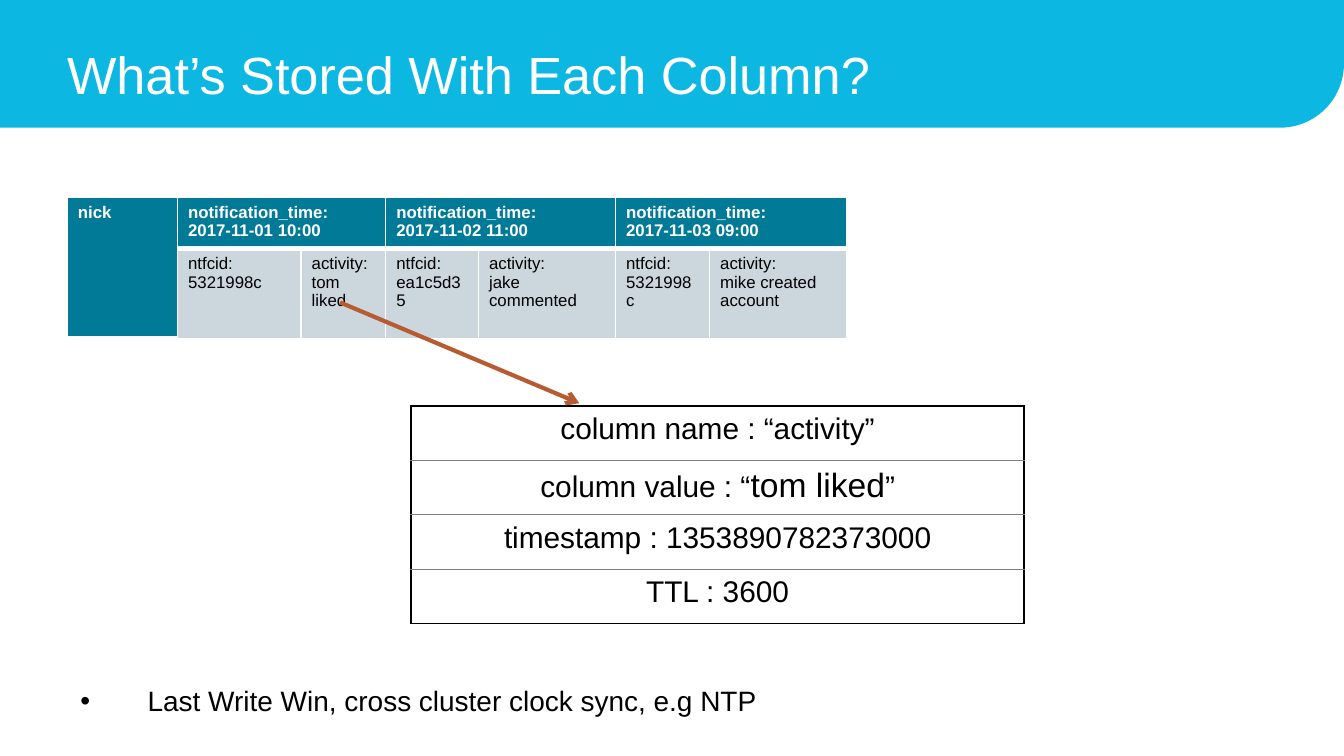
from copy import deepcopy
from dataclasses import dataclass

from lxml import etree
from pptx import Presentation
from pptx.dml.color import RGBColor
from pptx.enum.shapes import MSO_CONNECTOR, MSO_SHAPE
from pptx.enum.text import MSO_ANCHOR, PP_ALIGN
from pptx.oxml.ns import qn
from pptx.util import Inches, Pt

ROUND_CORNER = MSO_SHAPE.ROUND_1_RECTANGLE
STRAIGHT = MSO_CONNECTOR.STRAIGHT
BOTTOM, TOP = MSO_ANCHOR.BOTTOM, MSO_ANCHOR.TOP
LEFT, CENTER = PP_ALIGN.LEFT, PP_ALIGN.CENTER


@dataclass(frozen=True)
class Theme:
    font: str = "Arial"
    banner: str = "0CB7E1"
    header: str = "007A97"
    body: str = "CCD7DD"
    arrow: str = "B65B32"
    white: str = "FFFFFF"
    black: str = "000000"
    grey: str = "808080"
    title_size: float = 28
    row_size: float = 9
    detail_size: float = 16
    value_size: float = 18
    note_size: float = 15


THEME = Theme()


def style_text(frame, size, color, bold=False, align=LEFT):
    for paragraph in frame.paragraphs:
        paragraph.alignment = align
        for run in paragraph.runs:
            font = run.font
            font.name, font.size, font.bold = THEME.font, Pt(size), bold
            font.color.rgb = RGBColor.from_string(color)
        # Line breaks take the type of the text around them
        for line_break in paragraph._p.findall(qn("a:br")):
            line_break.append(deepcopy(paragraph.runs[0]._r.rPr))


def set_borders(cell, **sides):
    """Each side is (colour, points)."""
    properties = cell._tc.get_or_add_tcPr()
    for side in "LRTB":
        color, width = sides[side]
        line = etree.SubElement(properties, qn(f"a:ln{side}"), w=str(Pt(width)))
        fill = etree.SubElement(line, qn("a:solidFill"))
        etree.SubElement(fill, qn("a:srgbClr"), val=color)


def add_plain_table(slide, box, column_widths, row_heights):
    table = slide.shapes.add_table(len(row_heights), len(column_widths),
                                   *map(Inches, box)).table
    table.first_row = table.horz_banding = False
    for column, width in zip(table.columns, column_widths):
        column.width = Inches(width)
    for row, height in zip(table.rows, row_heights):
        row.height = Inches(height)
    return table


def add_textbox(slide, box, text):
    frame = slide.shapes.add_textbox(*map(Inches, box)).text_frame
    frame.word_wrap = True
    frame.text = text
    return frame


def add_banner(slide, box, title):
    left, top, width, height = box
    banner = slide.shapes.add_shape(ROUND_CORNER, *map(Inches, box))
    banner.shadow.inherit = False
    banner.adjustments[0] = 0.5
    banner.fill.solid()
    banner.fill.fore_color.rgb = RGBColor.from_string(THEME.banner)
    banner.line.fill.background()
    # Turned and mirrored so that the round corner is at the bottom right
    banner.rotation = 180
    banner._element.spPr.find(qn("a:xfrm")).set("flipH", "1")

    heading = add_textbox(slide, (left + 0.5, top + 0.29, 7.36, 0.6), title)
    heading.margin_left = 0
    heading.margin_top = heading.margin_right = heading.margin_bottom = Inches(0.1)
    heading.vertical_anchor = BOTTOM
    heading.paragraphs[0].line_spacing = 0.9
    style_text(heading, THEME.title_size, THEME.white)


def add_wide_row(slide, box, row_key, entries):
    """Partition key on the left, then two cells under each clustering time."""
    widths = [0.82, 0.92, 0.63, 0.69, 1.02, 0.7, 1.02]
    table = add_plain_table(slide, box, widths, [0.38, 0.67])

    # Merges and wording
    key_cell = table.cell(0, 0)
    key_cell.merge(table.cell(1, 0))
    key_cell.text_frame.text = row_key
    for index, (time, notification, activity) in enumerate(entries):
        column = 1 + 2 * index
        table.cell(0, column).merge(table.cell(0, column + 1))
        table.cell(0, column).text_frame.text = time
        table.cell(1, column).text_frame.text = notification
        table.cell(1, column + 1).text_frame.text = activity

    # Fills, borders and type
    thin, thick = (THEME.white, 1), (THEME.white, 3)
    for row in range(2):
        for column in range(len(widths)):
            cell = table.cell(row, column)
            is_header = row == 0 or column == 0
            set_borders(cell, L=thin, R=thin, T=thin,
                        B=thick if is_header else thin)
            cell.fill.solid()
            cell.fill.fore_color.rgb = RGBColor.from_string(
                THEME.header if is_header else THEME.body)
            cell.margin_left = cell.margin_right = Inches(0.08)
            cell.margin_top = cell.margin_bottom = Inches(0.04)
            cell.vertical_anchor = TOP
            style_text(cell.text_frame, THEME.row_size,
                       THEME.white if is_header else THEME.black, is_header)


def add_column_detail(slide, box, lines):
    """One row per line; a line is a list of (text, size) runs."""
    width, height = box[2:]
    count = len(lines)
    table = add_plain_table(slide, box, [width], [height / count] * count)
    outer, inner = (THEME.black, 1), (THEME.grey, 0.5)
    for index, line in enumerate(lines):
        cell = table.cell(index, 0)
        set_borders(cell, L=outer, R=outer,
                    T=outer if index == 0 else inner,
                    B=outer if index == count - 1 else inner)
        cell.fill.background()
        paragraph = cell.text_frame.paragraphs[0]
        for text, _ in line:
            paragraph.add_run().text = text
        style_text(cell.text_frame, THEME.detail_size, THEME.black, align=CENTER)
        for run, (_, size) in zip(paragraph.runs, line):
            run.font.size = Pt(size)


def add_arrow(slide, start, end):
    arrow = slide.shapes.add_connector(STRAIGHT, *map(Inches, start + end))
    arrow.line.color.rgb = RGBColor.from_string(THEME.arrow)
    arrow.line.width = Pt(2.25)
    etree.SubElement(arrow.line._get_or_add_ln(), qn("a:tailEnd"), type="arrow")
    etree.SubElement(arrow._element.spPr, qn("a:effectLst"))


def add_note(slide, box, text):
    note = add_textbox(slide, box, text)
    properties = note.paragraphs[0]._p.get_or_add_pPr()
    properties.set("marL", str(Inches(0.5)))
    properties.set("indent", str(-Inches(0.5)))
    etree.SubElement(properties, qn("a:buFont"), typeface=THEME.font)
    etree.SubElement(properties, qn("a:buChar"), char="•")
    style_text(note, THEME.note_size, THEME.black)


def main():
    deck = Presentation()
    deck.slide_width = Inches(10)
    deck.slide_height = deck.slide_width * 9 // 16
    slide = deck.slides.add_slide(deck.slide_layouts[6])

    add_banner(slide, (0, 0, 10, 0.95), "What’s Stored With Each Column?")
    # \v breaks a line, \n starts a paragraph
    add_wide_row(slide, (0.5, 1.47, 5.8, 1.05), "nick", [
        ("notification_time: \v2017-11-01 10:00", "ntfcid: \v5321998c",
         "activity: \vtom liked"),
        ("notification_time: \v2017-11-02 11:00", "ntfcid: \vea1c5d35",
         "activity:\vjake commented"),
        ("notification_time:\n2017-11-03 09:00", "ntfcid: \v5321998c",
         "activity:\nmike created account"),
    ])
    size = THEME.detail_size
    add_column_detail(slide, (3.06, 3.02, 4.56, 1.62), [
        [("column name : “activity”", size)],
        [("column value : “", size), ("tom liked", THEME.value_size), ("”", size)],
        [("timestamp : 1353890782373000", size)],
        [("TTL : 3600", size)],
    ])
    add_arrow(slide, (2.53, 2.25), (4.31, 3))
    add_note(slide, (0.5, 5.04, 5.97, 0.4),
             "Last Write Win, cross cluster clock sync, e.g NTP")
    deck.save("out.pptx")


if __name__ == "__main__":
    main()
